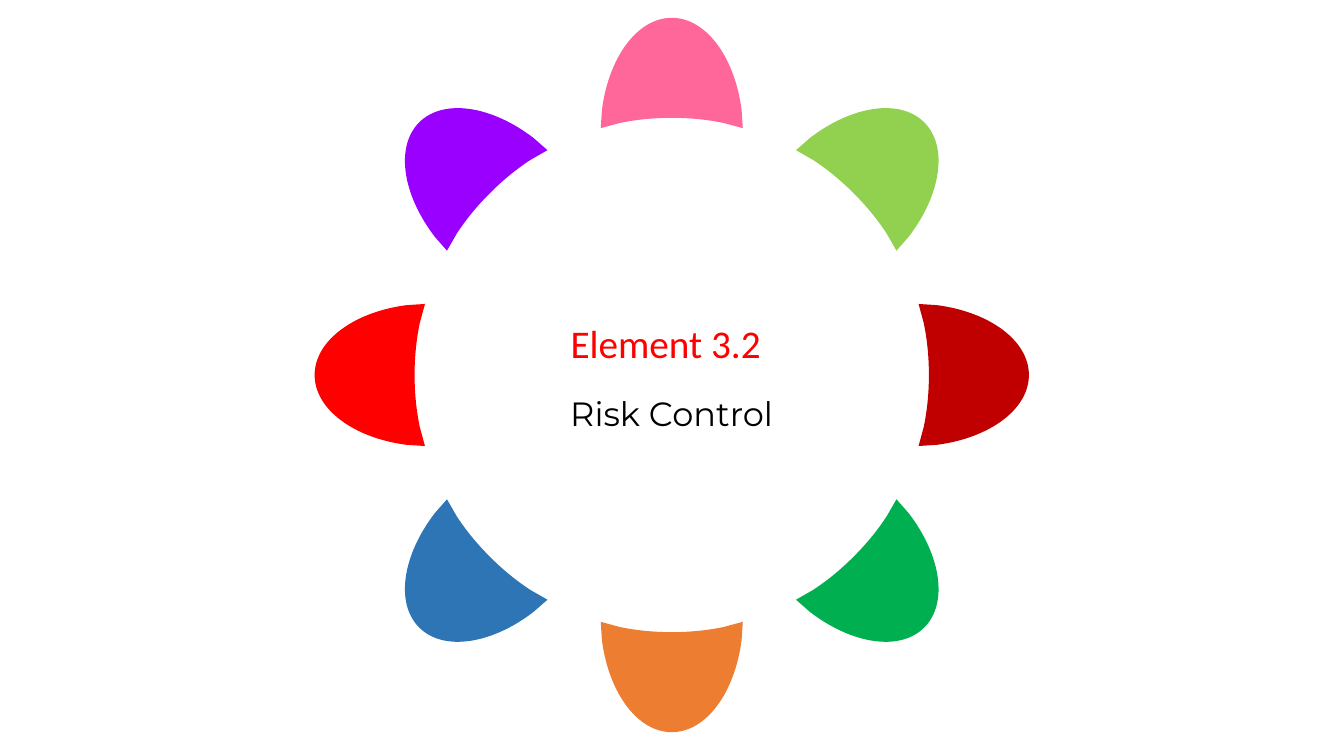
import math

import pptx
import pptx.dml.color
import pptx.enum.text
import pptx.oxml.ns
import pptx.util

Cm = pptx.util.Cm
ALIGN = pptx.enum.text.PP_ALIGN


class Theme:
    petals = ("FF6699", "92D050", "C00000", "00B050",
              "ED7D31", "2E75B6", "FF0000", "9900FF")  # clockwise from the top
    title = {"font": "Calibri", "size": 28, "color": "FF0000"}
    label = {"font": "Montserrat", "size": 24, "color": "000000"}


CENTER = (16.93, 9.45)
# Right half of the top petal about the centre, from the tip to the base.
HALF = [(0, -9), (0.87, -9), (1.59, -8), (1.76, -6.68), (1.79, -6.22),
        (1.31, -6.35), (0.88, -6.44), (0.44, -6.48), (0, -6.48)]
PETAL = HALF + [(-x, y) for x, y in reversed(HALF[:-1])]
KINDS = "CLLCCLLC"  # curve or line, in order along the petal


def place(point, angle):
    """Turn a point about the centre and give its position in EMU."""
    x, y = point
    t = math.radians(angle)
    return (Cm(CENTER[0] + x * math.cos(t) - y * math.sin(t)),
            Cm(CENTER[1] + x * math.sin(t) + y * math.cos(t)))


def bezier(a, b, c, d, t):
    u = 1 - t
    return u**3 * a + 3 * u * u * t * b + 3 * u * t * t * c + t**3 * d


def limits(values):
    """Lowest and highest value that the outline reaches on one axis."""
    reach, start = [], 0
    for kind in KINDS:
        if kind == "C":
            ends = values[start:start + 4]
            reach += [bezier(*ends, i / 40) for i in range(41)]
            start += 3
        else:
            start += 1
            reach.append(values[start])
    return round(min(reach)), round(max(reach))


class Board:
    def __init__(self, slide, theme):
        self.slide = slide
        self.theme = theme

    def petal(self, angle, color):
        points = [place(point, angle) for point in PETAL]
        form = self.slide.shapes.build_freeform(*points[0])
        form.add_line_segments(points[1:], close=True)
        shape = form.convert_to_shape()
        self.curve(shape)
        self.fit(shape, *map(limits, zip(*points)))
        shape.shadow.inherit = False
        shape.fill.solid()
        shape.fill.fore_color.rgb = pptx.dml.color.RGBColor.from_string(color)
        shape.line.fill.background()

    def curve(self, shape):
        """Join three line steps into one cubic where the outline bends."""
        steps = iter(shape.element.xpath(".//a:lnTo"))
        for kind in KINDS:
            step = next(steps)
            if kind == "C":
                step.tag = pptx.oxml.ns.qn("a:cubicBezTo")
                for extra in (next(steps), next(steps)):
                    step.append(extra[0])
                    extra.getparent().remove(extra)

    def fit(self, shape, across, down):
        """Set the frame to the drawn outline rather than its control points."""
        shift = {"x": shape.left - across[0], "y": shape.top - down[0]}
        for point in shape.element.xpath(".//a:pt"):
            for axis, move in shift.items():
                point.set(axis, str(int(point.get(axis)) + move))
        shape.left, shape.top = across[0], down[0]
        shape.width = across[1] - across[0]
        shape.height = down[1] - down[0]
        outline = shape.element.xpath(".//a:path")[0]
        outline.set("w", str(shape.width))
        outline.set("h", str(shape.height))

    def text(self, words, box, *, font, size, color, align=ALIGN.LEFT, wrap=True):
        shape = self.slide.shapes.add_textbox(*map(Cm, box))
        frame = shape.text_frame
        frame.word_wrap = wrap
        frame.auto_size = pptx.enum.text.MSO_AUTO_SIZE.SHAPE_TO_FIT_TEXT
        line = frame.paragraphs[0]
        line.alignment = align
        run = line.add_run()
        run.text = words
        run.font.name = font
        run.font.size = pptx.util.Pt(size)
        run.font.color.rgb = pptx.dml.color.RGBColor.from_string(color)


def main():
    deck = pptx.Presentation()
    deck.slide_width = Cm(33.87)
    deck.slide_height = Cm(19.05)
    theme = Theme()
    board = Board(deck.slides.add_slide(deck.slide_layouts[6]), theme)

    step = 360 / len(theme.petals)
    for i, color in enumerate(theme.petals):
        board.petal(i * step, color)

    board.text("Risk Control", (13.79, 9.78, 6.27, 1.27),
               align=ALIGN.CENTER, wrap=False, **theme.label)
    board.text("Element 3.2", (14.13, 7.92, 5.61, 1.45), **theme.title)
    deck.save("out.pptx")


if __name__ == "__main__":
    main()
